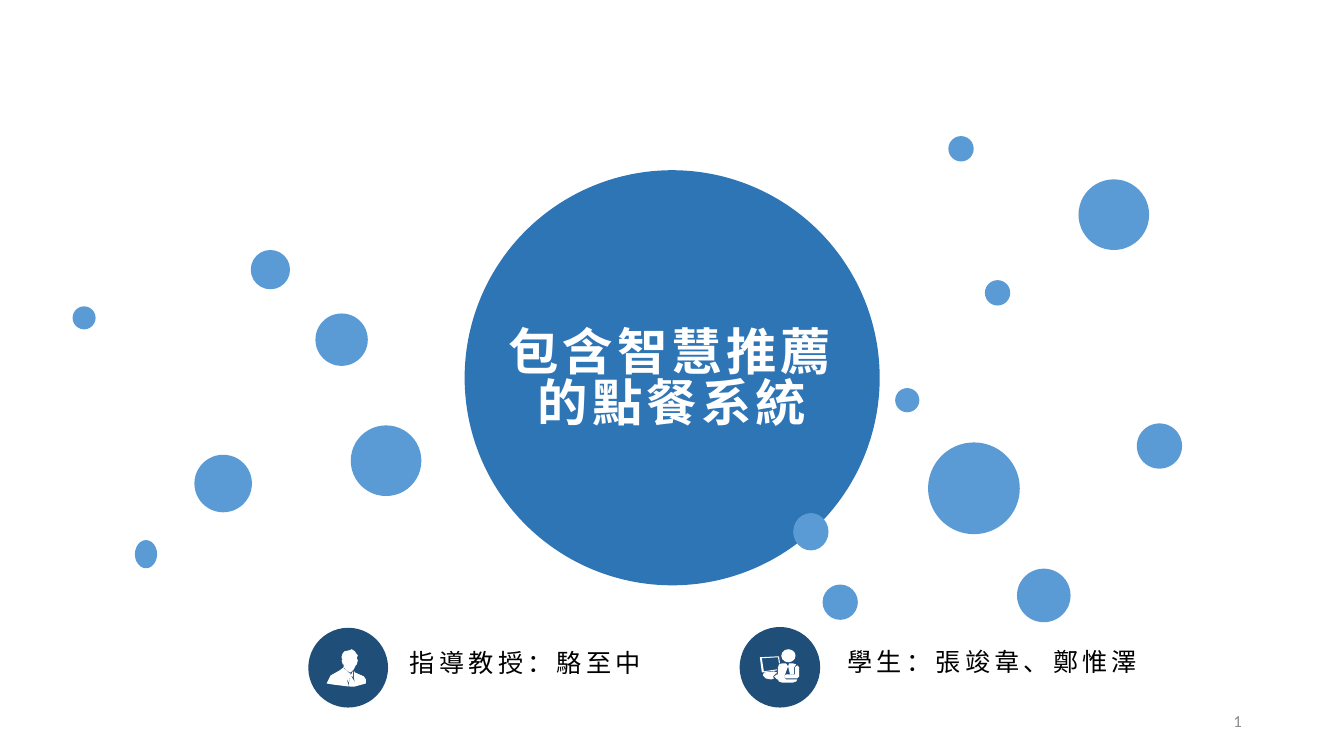
from lxml.etree import SubElement
from pptx import Presentation
from pptx.dml.color import RGBColor
from pptx.enum.shapes import MSO_SHAPE
from pptx.enum.text import MSO_ANCHOR, MSO_AUTO_SIZE, PP_ALIGN
from pptx.oxml.ns import qn
from pptx.util import Cm, Pt

BLUE = RGBColor(0x2E, 0x75, 0xB6)
SKY = RGBColor(0x5B, 0x9B, 0xD5)
NAVY = RGBColor(0x1F, 0x4E, 0x79)
WHITE = RGBColor(0xFF, 0xFF, 0xFF)
BLACK = RGBColor(0, 0, 0)
GREY = RGBColor(0x8C, 0x8C, 0x8C)
HAN = "Noto Sans CJK SC"
UNIT = Cm(2.54) / 100

BUBBLES = [
    (3.4, 13.61, 0.56, 0.71),
    (4.9, 11.46, 1.45),
    (8.84, 10.72, 1.78),
    (1.83, 7.72, 0.58),
    (7.95, 7.9, 1.32),
    (6.32, 6.3, 0.99),
    (22.56, 9.78, 0.61),
    (27.18, 4.52, 1.78),
    (20.73, 14.73, 0.89),
    (19.99, 12.93, 0.89, 0.94),
    (24.82, 7.06, 0.64),
    (23.39, 11.15, 2.31),
    (23.9, 3.43, 0.64),
    (28.65, 10.67, 1.14),
    (25.63, 14.33, 1.35),
]

TUTOR = [
    [(23, 24), (24, 24), (24, 26), (27, 31), (28, 37), (23, 37), (22, 36),
     (23, 28), (23, 25)],
    [(26, 22), (26, 27), (27, 28), (24, 26), (25, 24)],
    [(27, 21), (28, 23), (37, 27), (39, 30), (39, 34), (28, 37), (27, 24)],
    [(17, 19), (23, 24), (22, 33), (20, 29)],
    [(17, 18), (22, 37), (6, 35), (0, 34), (4, 26), (13, 21)],
    [(25, 0), (28, 2), (30, 5), (31, 6), (30, 9), (31, 11), (30, 15),
     (29, 16), (27, 20), (24, 23), (23, 23), (20, 21), (17, 18), (17, 15),
     (16, 15), (15, 11), (16, 10), (15, 9), (15, 7), (16, 4), (18, 2),
     (23, 1)],
]
SCREEN = [
    [(19, 7), (20, 14), (19, 14), (18, 8), (2, 9), (4, 22), (17, 20),
     (17, 21), (2, 23), (0, 8)],
]
BASE = [
    [(14, 22), (17, 23), (17, 24), (16, 24), (13, 27), (14, 29), (11, 30),
     (6, 29), (3, 26), (4, 23)],
]
BODY = [
    [(29, 14), (33, 14), (36, 15), (34, 18), (34, 25), (30, 25), (28, 17)],
    [(22, 14), (26, 14), (28, 17), (25, 25), (24, 27), (26, 30), (37, 30),
     (36, 32), (33, 33), (22, 33), (19, 32), (18, 30), (17, 30), (14, 27),
     (17, 25), (18, 25), (18, 18), (19, 15)],
]
ARM = [
    [(37, 16), (39, 18), (39, 27), (37, 29), (26, 29), (24, 27), (26, 25),
     (35, 25), (35, 18)],
]


def paint(shape, color):
    shape.shadow.inherit = False
    shape.fill.solid()
    shape.fill.fore_color.rgb = color
    shape.line.fill.background()
    return shape


def disc(shapes, color, x, y, w, h=None):
    box = Cm(x), Cm(y), Cm(w), Cm(h or w)
    return paint(shapes.add_shape(MSO_SHAPE.OVAL, *box), color)


def outline(shapes, paths, x, y):
    pen = shapes.build_freeform(*paths[0][0], scale=UNIT)
    pen.add_line_segments(paths[0][1:])
    for path in paths[1:]:
        pen.move_to(*path[0])
        pen.add_line_segments(path[1:])
    paint(pen.convert_to_shape(Cm(x), Cm(y)), WHITE)


def write(shape, text, size=18, font=HAN, color=BLACK, bold=False,
          align=PP_ALIGN.LEFT, anchor=MSO_ANCHOR.TOP, gap=3, lead=0.84):
    frame = shape.text_frame
    frame.word_wrap = True
    frame.auto_size = MSO_AUTO_SIZE.NONE
    frame.vertical_anchor = anchor
    para = frame.paragraphs[0]
    para.alignment = align
    para.line_spacing = lead
    run = para.add_run()
    run.text = text
    run.font.size = Pt(size)
    run.font.bold = bold
    run.font.color.rgb = color
    run.font.name = font
    props = run.font._element
    props.set("spc", str(gap * 100))
    SubElement(props, qn("a:ea")).set("typeface", font)
    return run


def place(shape, x, y, w, h):
    shape.left, shape.top = Cm(x), Cm(y)
    shape.width, shape.height = Cm(w), Cm(h)


def label(slide, text, x, y, w, **style):
    box = slide.shapes.add_textbox(Cm(x), Cm(y), Cm(w), Cm(1.02))
    return write(box, text, **style)


def head(slide):
    hub = disc(slide.shapes, BLUE, 11.71, 4.29, 10.46)
    title = slide.shapes.title
    title._element.addprevious(hub._element)
    place(title, 12.07, 8.18, 9.73, 3.33)
    write(title, "包含智慧推薦的點餐系統", size=36, color=WHITE, bold=True,
          align=PP_ALIGN.CENTER)


def badge(slide, x, y, size, left, icons):
    shapes = slide.shapes.add_group_shape().shapes
    disc(shapes, NAVY, x, y, size)
    for icon in icons:
        outline(shapes, icon, left, 16.36)
    return shapes


def number(slide):
    run = label(slide, "1", 23.93, 17.65, 7.62, size=12, font="Calibri",
                color=GREY, align=PP_ALIGN.RIGHT, anchor=MSO_ANCHOR.MIDDLE,
                gap=0, lead=1.0)
    field = run._r
    field.tag = qn("a:fld")
    field.set("id", "{B6F15528-21DE-4FAA-801E-634DDDAF4B2B}")
    field.set("type", "slidenum")


def main():
    deck = Presentation()
    deck.slide_width, deck.slide_height = Cm(33.87), Cm(19.05)
    slide = deck.slides.add_slide(deck.slide_layouts[5])
    head(slide)
    for spot in BUBBLES:
        disc(slide.shapes, SKY, *spot)
    badge(slide, 7.77, 15.82, 2.01, 8.23, [TUTOR])
    label(slide, "指導教授：駱至中", 10.08, 16.31, 6.78)
    pupil = badge(slide, 18.64, 15.8, 2.03, 19.15, [SCREEN, BASE, BODY, ARM])
    disc(pupil, WHITE, 19.69, 16.36, 0.36, 0.33)
    label(slide, "學生：張竣韋、鄭惟澤", 21.11, 16.28, 8.41)
    number(slide)
    deck.save("out.pptx")


if __name__ == "__main__":
    main()
